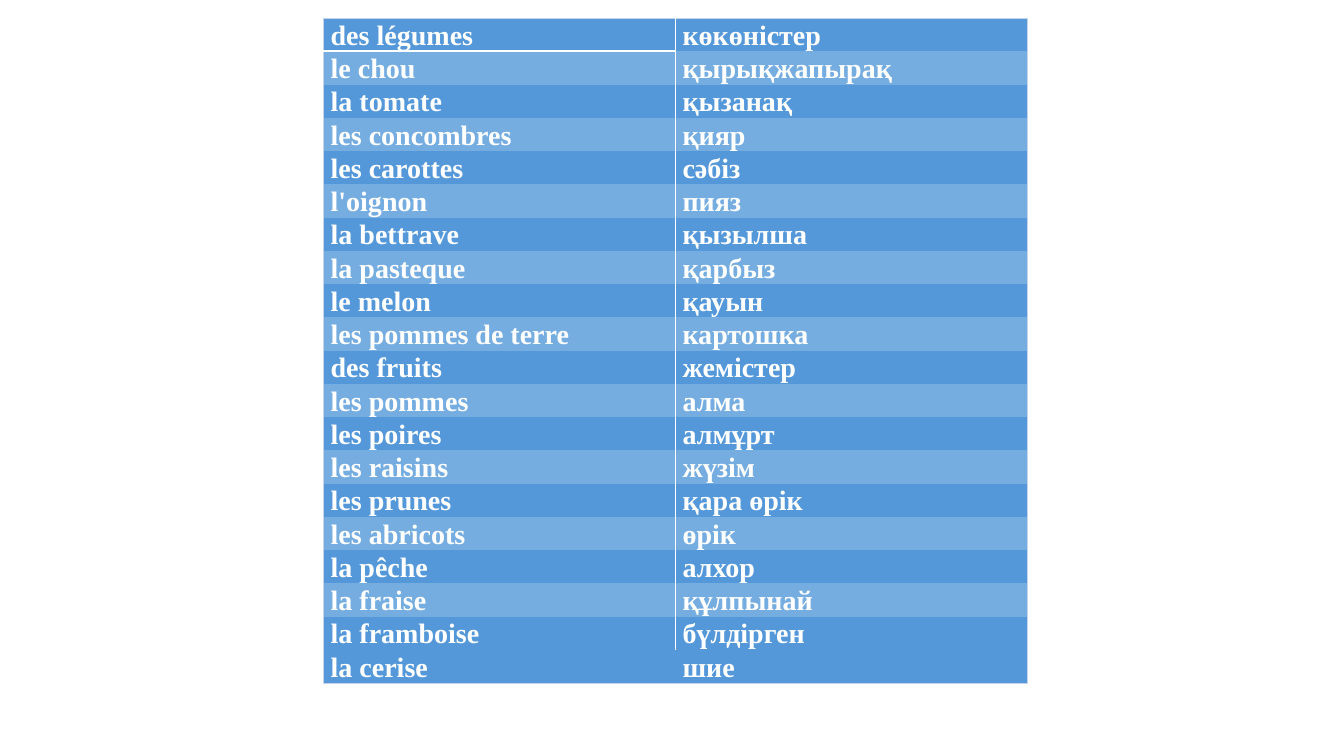
from lxml import etree
from pptx import Presentation
from pptx.dml.color import RGBColor
from pptx.oxml import ns
from pptx.util import Inches, Pt

WHITE = RGBColor(0xFF, 0xFF, 0xFF)
DARK_BLUE = RGBColor(0x54, 0x98, 0xDA)
LIGHT_BLUE = RGBColor(0x76, 0xAD, 0xE1)
EDGE_BLUE = RGBColor(0xC4, 0xD5, 0xEB)

FONT = "Times New Roman"
NO_STYLE = "{2D5ABB26-0587-4C30-8999-92F81FD0307C}"
ROW_HEIGHT = 0.33
COLUMN_WIDTH = 3.49

VOCABULARY = [
    ("des légumes", "көкөністер"),
    ("le chou", "қырықжапырақ"),
    ("la tomate", "қызанақ"),
    ("les concombres", "қияр"),
    ("les carottes", "сәбіз"),
    ("l'oignon", "пияз"),
    ("la bettrave", "қызылша"),
    ("la pasteque", "қарбыз"),
    ("le melon", "қауын"),
    ("les pommes de terre", "картошка"),
    ("des fruits", "жемістер"),
    ("les pommes", "алма"),
    ("les poires", "алмұрт"),
    ("les raisins", "жүзім"),
    ("les prunes", "қара өрік"),
    ("les abricots", "өрік"),
    ("la pêche", "алхор"),
    ("la fraise", "құлпынай"),
    ("la framboise", "бүлдірген"),
    ("la cerise", "шие"),
]
LAST_ROW = len(VOCABULARY) - 1


def add_border(cell, side, color, width):
    properties = cell._tc.get_or_add_tcPr()
    line = etree.SubElement(properties, ns.qn(f"a:ln{side}"), w=str(Pt(width)))
    fill = etree.SubElement(line, ns.qn("a:solidFill"))
    etree.SubElement(fill, ns.qn("a:srgbClr"), val=str(color))


def add_borders(cell, row, column):
    edge, divider = (EDGE_BLUE, 0.5), (WHITE, 1)
    inner = divider if row < LAST_ROW else None
    borders = {
        "L": edge if column == 0 else inner,
        "R": inner if column == 0 else edge,
        "T": edge if row == 0 else None,
        "B": edge if row == LAST_ROW else None,
    }
    # The heading is underlined in the French column only
    if column == 0 and row == 0:
        borders["B"] = (WHITE, 1.5)
    for side, border in borders.items():
        if border:
            add_border(cell, side, *border)


def write_cell(cell, word):
    cell.margin_left = cell.margin_right = Inches(0.07)
    cell.margin_top = cell.margin_bottom = 0
    cell.text_frame.text = word
    paragraph = cell.text_frame.paragraphs[0]
    paragraph.line_spacing = 1.07
    font = paragraph.runs[0].font
    font.name = FONT
    font.size = Pt(20)
    font.bold = True
    font.color.rgb = WHITE


def add_vocabulary_table(slide):
    frame = slide.shapes.add_table(
        len(VOCABULARY), 2, Inches(3.21), Inches(0.18),
        Inches(2 * COLUMN_WIDTH), Inches(ROW_HEIGHT * len(VOCABULARY)))
    table = frame.table
    table.first_row = table.horz_banding = False
    table._tbl.tblPr.find(ns.qn("a:tableStyleId")).text = NO_STYLE

    for row, words in enumerate(VOCABULARY):
        table.rows[row].height = Inches(ROW_HEIGHT)
        # Bands alternate, but the last row stays dark
        is_light = row % 2 == 1 and row < LAST_ROW
        for column, word in enumerate(words):
            cell = table.cell(row, column)
            write_cell(cell, word)
            add_borders(cell, row, column)
            cell.fill.solid()
            cell.fill.fore_color.rgb = LIGHT_BLUE if is_light else DARK_BLUE


def main():
    presentation = Presentation()
    presentation.slide_width = Inches(13.33)
    presentation.slide_height = Inches(7.5)
    slide = presentation.slides.add_slide(presentation.slide_layouts[6])
    add_vocabulary_table(slide)
    presentation.save("out.pptx")


if __name__ == "__main__":
    main()
